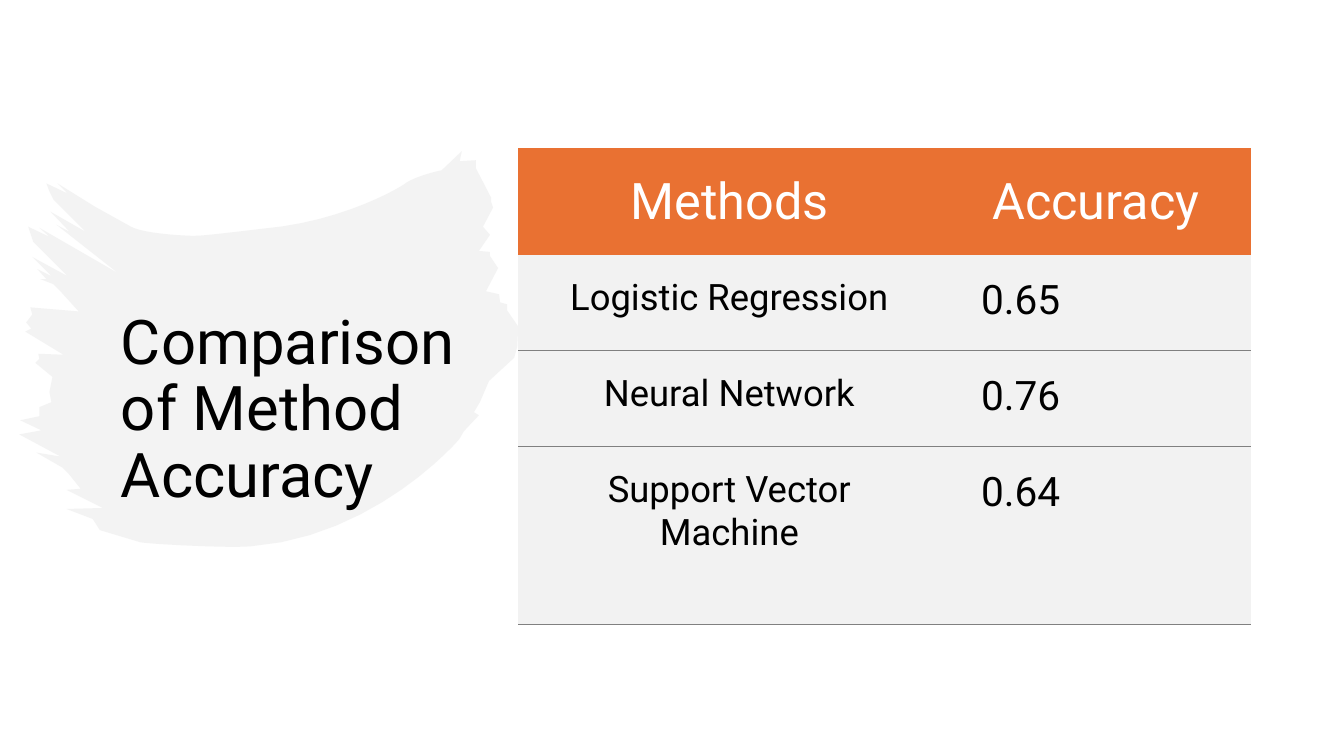
from dataclasses import dataclass
from typing import NamedTuple

import lxml.etree
import pptx
import pptx.dml.color
import pptx.enum.text
import pptx.oxml.ns
import pptx.util

Inches = pptx.util.Inches
Align = pptx.enum.text.PP_ALIGN
Anchor = pptx.enum.text.MSO_ANCHOR
qualified = pptx.oxml.ns.qn

COLORS = {
    "ink": "000000",
    "white": "FFFFFF",
    "brush": "E8E8E8",
    "header": "E97132",
    "body": "F2F2F2",
    "rule": "808080",
}
FONT = "Roboto"
CURVE_STEPS = 12


class Point(NamedTuple):
    x: float
    y: float


class Bristle(NamedTuple):
    """One ragged hair of the brush: its tip, then the notch before the next hair."""
    tip: tuple[float, float]
    notch: tuple[float, float]


class Curve(NamedTuple):
    """A smooth cubic edge of the brush stroke."""
    start: tuple[float, float]
    start_control: tuple[float, float]
    end_control: tuple[float, float]
    end: tuple[float, float]


@dataclass(frozen=True)
class CellStyle:
    fill: str
    color: str
    size: float
    align: Align
    anchor: Anchor


@dataclass(frozen=True)
class TableRow:
    texts: tuple[str, str]
    height: float
    styles: tuple[CellStyle, CellStyle]
    ruled_sides: str


# Table content and styles
HEADER = CellStyle("header", "white", 36, Align.CENTER, Anchor.MIDDLE)
METHOD = CellStyle("body", "ink", 26, Align.CENTER, Anchor.TOP)
ACCURACY = CellStyle("body", "ink", 29, Align.LEFT, Anchor.TOP)
BODY = (METHOD, ACCURACY)
TABLE_ROWS = [
    TableRow(("Methods", "Accuracy"), 1.06, (HEADER, HEADER), ""),
    TableRow(("Logistic Regression", "0.65"), 0.95, BODY, "B"),
    TableRow(("Neural Network", "0.76"), 0.95, BODY, "TB"),
    TableRow(("Support Vector Machine", "0.64"), 1.77, BODY, "TB"),
]
COLUMN_WIDTHS = (4.19, 3.08)

# Brush stroke, clockwise: right hairs downwards, left hairs upwards
RIGHT_BRISTLES = [
    Bristle((4.58, 1.5), (4.56, 1.6)), Bristle((4.72, 1.59), (4.72, 1.67)),
    Bristle((4.87, 1.96), (4.87, 2)), Bristle((4.89, 2.06), (4.79, 2.25)),
    Bristle((4.86, 2.33), (4.75, 2.49)), Bristle((4.86, 2.5), (4.86, 2.54)),
    Bristle((4.94, 2.66), (4.82, 2.89)), Bristle((4.95, 2.92), (4.96, 3)),
    Bristle((5.03, 3.02), (5.03, 3.08)), Bristle((5.14, 3.24), (5.13, 3.44)),
    Bristle((5.1, 3.55), (4.85, 3.78)), Bristle((4.76, 3.99), (4.7, 4.09)),
    Bristle((4.75, 4.12), (4.6, 4.28)),
]
BOTTOM_CURVES = [
    Curve((4.56, 4.35), (4.56, 4.36), (3.72, 5.33), (2.49, 5.42)),
    Curve((2.49, 5.42), (2.29, 5.44), (1.5, 5.4), (1.39, 5.38)),
]
LEFT_BRISTLES = [
    Bristle((0.99, 5.26), (0.92, 5.15)), Bristle((0.66, 5.05), (1.02, 5.04)),
    Bristle((0.66, 4.86), (0.8, 4.85)), Bristle((0.68, 4.7), (0.62, 4.64)),
    Bristle((0.36, 4.49), (0.6, 4.53)), Bristle((0.19, 4.31), (0.41, 4.27)),
    Bristle((0.2, 4.17), (0.39, 4.13)), Bristle((0.39, 4.04), (0.51, 3.99)),
    Bristle((0.49, 3.89), (0.52, 3.74)), Bristle((0.35, 3.6), (0.39, 3.56)),
    Bristle((0.38, 3.51), (0.63, 3.52)), Bristle((0.25, 3.29), (0.31, 3.26)),
    Bristle((0.26, 3.2), (0.32, 3.12)), Bristle((0.3, 3.05), (0.78, 3.09)),
    Bristle((0.59, 2.88), (0.53, 2.82)), Bristle((0.4, 2.77), (0.46, 2.77)),
    Bristle((0.37, 2.67), (0.51, 2.74)), Bristle((0.32, 2.55), (0.67, 2.74)),
    Bristle((0.35, 2.42), (0.33, 2.4)), Bristle((0.28, 2.25), (0.49, 2.35)),
    Bristle((0.39, 2.26), (1.17, 2.71)), Bristle((0.56, 2.23), (0.69, 2.3)),
    Bristle((0.5, 2.1), (0.85, 2.3)), Bristle((0.53, 1.98), (0.49, 1.9)),
    Bristle((0.46, 1.82), (0.67, 1.92)), Bristle((0.57, 1.82), (0.94, 2.05)),
]
TOP_CURVES = [
    Curve((1.3, 2.25), (1.43, 2.32), (1.84, 2.34), (1.92, 2.34)),
    Curve((1.92, 2.34), (2.02, 2.34), (2.26, 2.31), (2.6, 2.27)),
    Curve((2.6, 2.27), (3.42, 2.2), (4, 1.84), (4.02, 1.82)),
    Curve((4.02, 1.82), (4.07, 1.78), (4.23, 1.72), (4.38, 1.69)),
]


def rgb(name: str) -> pptx.dml.color.RGBColor:
    return pptx.dml.color.RGBColor.from_string(COLORS[name])


def bristle_points(bristles: list[Bristle]) -> list[Point]:
    return [Point(*corner) for bristle in bristles for corner in bristle]


def curve_points(curves: list[Curve]) -> list[Point]:
    points = []
    for curve in curves:
        for step in range(CURVE_STEPS + 1):
            t = step / CURVE_STEPS
            weights = ((1 - t) ** 3, 3 * t * (1 - t) ** 2, 3 * t ** 2 * (1 - t), t ** 3)
            points.append(Point(*(sum(weight * value for weight, value in zip(weights, axis))
                                  for axis in zip(*curve))))
    return points


def write_text(frame, text: str, *, size: float, color: str = "ink", align: Align = Align.LEFT,
               line_spacing: float = 1.0) -> None:
    frame.word_wrap = True
    paragraph = frame.paragraphs[0]
    paragraph.alignment = align
    paragraph.line_spacing = line_spacing
    run = paragraph.add_run()
    run.text = text
    run.font.name = FONT
    run.font.size = pptx.util.Pt(size)
    run.font.bold = False
    run.font.color.rgb = rgb(color)


def add_brush_stroke(slide) -> None:
    outline = (bristle_points(RIGHT_BRISTLES) + curve_points(BOTTOM_CURVES)
               + bristle_points(LEFT_BRISTLES) + curve_points(TOP_CURVES))
    # The builder rounds to whole units, so pass full-resolution lengths
    start, *rest = [(Inches(point.x), Inches(point.y)) for point in outline]
    builder = slide.shapes.build_freeform(*start)
    builder.add_line_segments(rest, close=True)
    brush = builder.convert_to_shape()
    brush.shadow.inherit = False
    brush.line.fill.background()
    brush.fill.solid()
    brush.fill.fore_color.rgb = rgb("brush")
    color = brush._element.spPr.find(f"{qualified('a:solidFill')}/{qualified('a:srgbClr')}")
    lxml.etree.SubElement(color, qualified("a:alpha"), val="50000")


def add_title(slide) -> None:
    title = slide.shapes.title
    # Bring the title in front of the brush stroke
    slide.shapes._spTree.append(title._element)
    title.left, title.top = Inches(1.1), Inches(1.07)
    title.width, title.height = Inches(3.82), Inches(6.01)
    title.text_frame.auto_size = pptx.enum.text.MSO_AUTO_SIZE.NONE
    title.text_frame.vertical_anchor = Anchor.MIDDLE
    write_text(title.text_frame, "Comparison of Method Accuracy", size=44, line_spacing=0.9)


def set_borders(cell, ruled_sides: str) -> None:
    properties = cell._tc.get_or_add_tcPr()
    for side in "LRTB":
        line = lxml.etree.SubElement(properties, qualified(f"a:ln{side}"),
                                     w=str(pptx.util.Pt(0.75)))
        if side in ruled_sides:
            fill = lxml.etree.SubElement(line, qualified("a:solidFill"))
            lxml.etree.SubElement(fill, qualified("a:srgbClr"), val=COLORS["rule"])
        else:
            lxml.etree.SubElement(line, qualified("a:noFill"))


def fill_cell(cell, text: str, style: CellStyle, ruled_sides: str) -> None:
    set_borders(cell, ruled_sides)
    cell.fill.solid()
    cell.fill.fore_color.rgb = rgb(style.fill)
    cell.margin_left = cell.margin_right = Inches(0.4)
    cell.margin_top, cell.margin_bottom = Inches(0.22), Inches(0.2)
    cell.vertical_anchor = style.anchor
    write_text(cell.text_frame, text, size=style.size, color=style.color, align=style.align)


def add_accuracy_table(slide) -> None:
    table = slide.shapes.add_table(
        len(TABLE_ROWS), len(COLUMN_WIDTHS), Inches(5.14), Inches(1.47),
        Inches(sum(COLUMN_WIDTHS)), Inches(sum(row.height for row in TABLE_ROWS))).table
    table.horz_banding = False
    for column, width in zip(table.columns, COLUMN_WIDTHS):
        column.width = Inches(width)
    for table_row, row in zip(table.rows, TABLE_ROWS):
        table_row.height = Inches(row.height)
        for cell, text, style in zip(table_row.cells, row.texts, row.styles):
            fill_cell(cell, text, style, row.ruled_sides)


def main() -> None:
    presentation = pptx.Presentation()
    presentation.slide_width, presentation.slide_height = Inches(13.33), Inches(7.5)
    slide = presentation.slides.add_slide(presentation.slide_layouts.get_by_name("Title Only"))
    add_brush_stroke(slide)
    add_title(slide)
    add_accuracy_table(slide)
    presentation.save("out.pptx")


if __name__ == "__main__":
    main()
